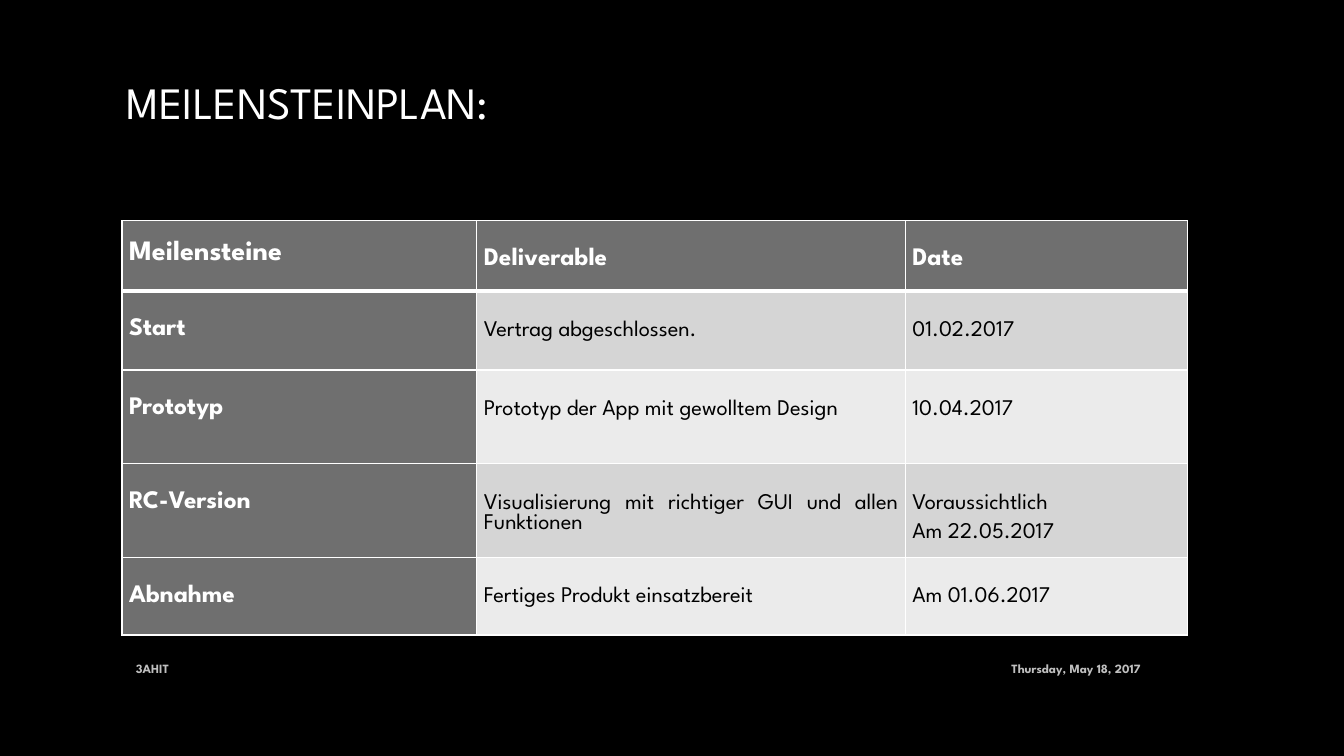
from lxml.etree import SubElement
from pptx import Presentation
from pptx.dml.color import RGBColor
from pptx.enum.text import MSO_ANCHOR, PP_ALIGN
from pptx.oxml import parse_xml
from pptx.oxml.ns import nsdecls, qn
from pptx.util import Inches, Pt

FONT = "League Spartan"
COLORS = {
    "background": "000000",
    "white": "FFFFFF",
    "title_end": "A6A6A6",
    "footer": "BFBFBF",
    "head": "6F6F6F",
    "band_dark": "D5D5D5",
    "band_light": "EBEBEB",
    "body_text": "000000",
}
COL_WIDTHS = [3.52, 4.25, 2.8]
ROW_HEIGHTS = [0.7, 0.78, 0.93, 0.93, 0.77]
MILESTONES = [
    ["Meilensteine", "Deliverable", "Date"],
    ["Start", "Vertrag abgeschlossen.", "01.02.2017"],
    ["Prototyp", "Prototyp der App mit gewolltem Design", "10.04.2017"],
    ["RC-Version", "Visualisierung mit richtiger GUI und allen Funktionen",
     "Voraussichtlich\nAm 22.05.2017"],
    ["Abnahme", "Fertiges Produkt einsatzbereit", "Am 01.06.2017"],
]


def rgb(name):
    return RGBColor.from_string(COLORS[name])


def add_text(s, text, left, top, width, height, size, align=PP_ALIGN.LEFT):
    """Add a one-line text box and return its run."""
    tf = s.shapes.add_textbox(
        Inches(left), Inches(top), Inches(width), Inches(height)).text_frame
    tf.word_wrap = True
    tf.text = text
    p = tf.paragraphs[0]
    p.alignment = align
    r = p.runs[0]
    r.font.size = Pt(size)
    r.font.name = FONT
    return r


def add_title(s, text):
    """Add the title with its gradient fill and soft shadow."""
    r = add_text(s, text, 1.16, 0.69, 4.4, 0.64, 32)
    fill = r.font.fill
    fill.gradient()
    fill.gradient_angle = 267
    for stop, color in zip(fill.gradient_stops, ["white", "title_end"]):
        stop.color.rgb = rgb(color)
    shadow = parse_xml(
        f'<a:effectLst {nsdecls("a")}>'
        '<a:outerShdw blurRad="38100" dist="25400" dir="2700000">'
        '<a:srgbClr val="808080"><a:alpha val="60000"/></a:srgbClr>'
        '</a:outerShdw></a:effectLst>')
    r.font._element.find(qn("a:gradFill")).addnext(shadow)


def add_footer(s, text, left, width, align):
    r = add_text(s, text, left, 6.43, width, 0.4, 9, align)
    r.font.bold = True
    r.font.color.rgb = rgb("footer")
    r._r.getparent().getparent().bodyPr.set("anchor", "ctr")


def set_borders(cell, widths):
    """Draw white borders; widths holds points for left, right, top, bottom."""
    tc_pr = cell._tc.get_or_add_tcPr()
    for i, (side, width) in enumerate(zip("LRTB", widths)):
        ln = SubElement(tc_pr, qn(f"a:ln{side}"), w=str(Pt(width)))
        fill = SubElement(ln, qn("a:solidFill"))
        SubElement(fill, qn("a:srgbClr"), val=COLORS["white"])
        tc_pr.insert(i, ln)


def fill_cell(cell, text, row, col):
    is_head = row == 0 or col == 0
    is_corner = row == 0 and col == 0
    band = "band_dark" if row % 2 else "band_light"
    cell.fill.solid()
    cell.fill.fore_color.rgb = rgb("head" if is_head else band)
    set_borders(cell, [1, 1, 3 if row == 1 else 1, 3 if row == 0 else 1])
    cell.margin_left = cell.margin_right = Inches(0.07)
    cell.margin_top = Inches(0.25 if is_corner else 0.29)
    cell.margin_bottom = Inches(0)
    cell.vertical_anchor = MSO_ANCHOR.TOP
    cell.text_frame.text = text
    for i, p in enumerate(cell.text_frame.paragraphs):
        p.alignment = PP_ALIGN.JUSTIFY
        p.line_spacing = Pt(15)
        p.space_before = Pt(3 if i else 0)
        p.space_after = Pt(3)
        font = p.runs[0].font
        font.name = FONT
        font.size = Pt(20 if is_corner else 18 if is_head else 16)
        font.bold = is_head
        font.color.rgb = rgb("white" if is_head else "body_text")


def add_milestone_table(s):
    table = s.shapes.add_table(
        len(ROW_HEIGHTS), len(COL_WIDTHS), Inches(1.21), Inches(2.19),
        Inches(sum(COL_WIDTHS)), Inches(sum(ROW_HEIGHTS))).table
    for column, width in zip(table.columns, COL_WIDTHS):
        column.width = Inches(width)
    for row, height in zip(table.rows, ROW_HEIGHTS):
        row.height = Inches(height)
    for i, texts in enumerate(MILESTONES):
        for j, text in enumerate(texts):
            fill_cell(table.cell(i, j), text, i, j)


def main():
    prs = Presentation()
    prs.slide_width = Inches(13.33)
    prs.slide_height = Inches(7.5)
    s = prs.slides.add_slide(prs.slide_layouts[6])
    s.background.fill.solid()
    s.background.fill.fore_color.rgb = rgb("background")
    add_footer(s, "Thursday, May 18, 2017", 9.66, 1.75, PP_ALIGN.RIGHT)
    add_footer(s, "3AHIT", 1.25, 8.25, PP_ALIGN.LEFT)
    add_title(s, "MEILENSTEINPLAN:")
    add_milestone_table(s)
    prs.save("out.pptx")


if __name__ == "__main__":
    main()
